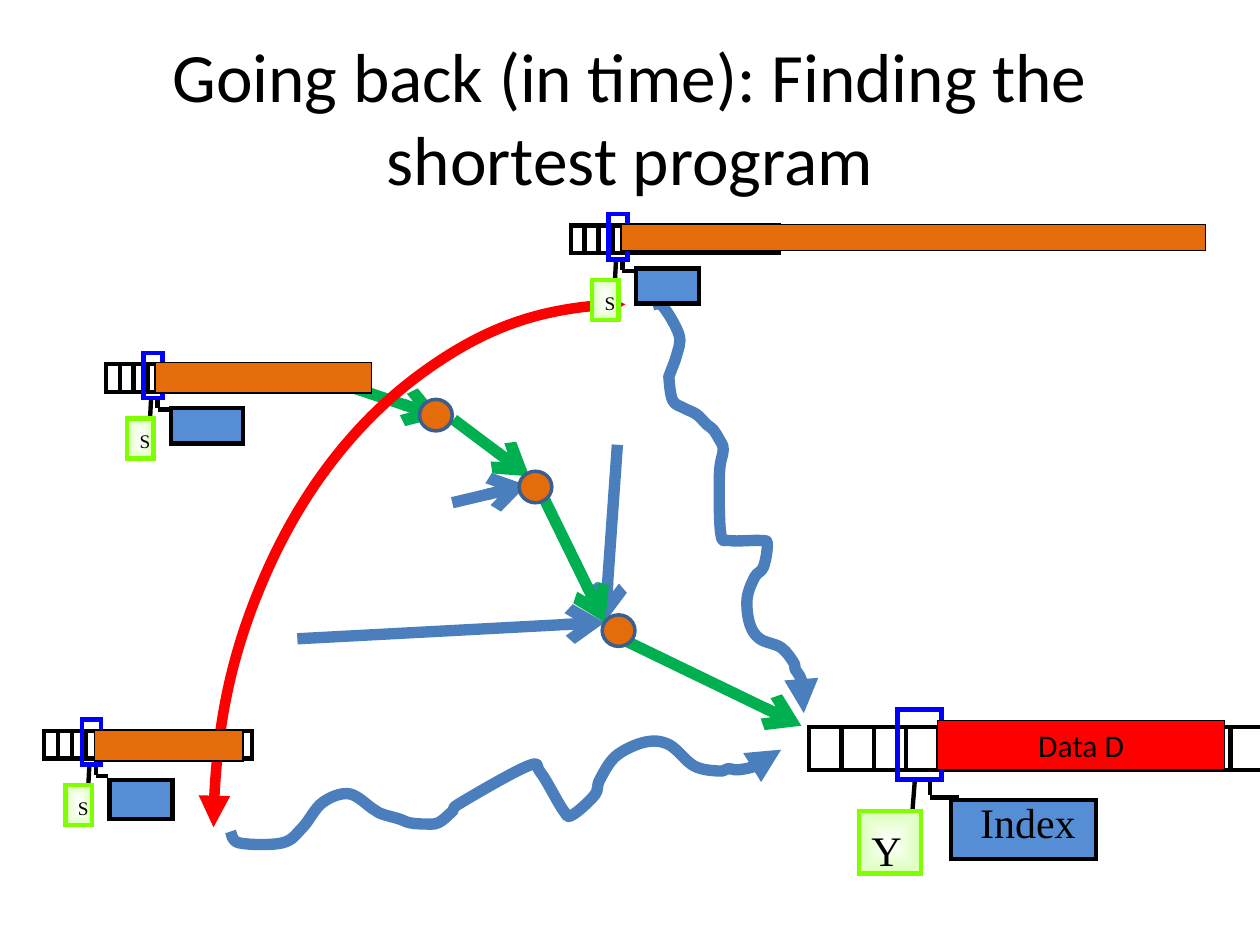
from lxml.etree import SubElement
from pptx import Presentation
from pptx.dml.color import RGBColor
from pptx.enum.shapes import MSO_CONNECTOR, MSO_SHAPE as SHAPE
from pptx.enum.text import MSO_ANCHOR as ANCHOR, PP_ALIGN as ALIGN
from pptx.oxml.ns import qn
from pptx.util import Inches, Pt

COLORS = {"black": "000000", "white": "FFFFFF", "green": "00B050", "steel": "4B7EBC",
          "rim": "3A5F8C", "orange": "E46C0A", "red": "FF0000", "index": "558ED5",
          "window": "0000FF", "lime": "7FFF00", "pale": "DBFFB8"}
SLIDE = (10, 7.5)
TITLE = "Going back (in time): Finding the shortest program"

ARROWS = [  # start, end, colour
    ((4.85, 5.03), (6.36, 5.76), "green"),
    ((2.36, 5.07), (4.8, 4.94), "steel"),
    ((3.6, 3.33), (4.2, 3.78), "green"),
    ((4.9, 3.53), (4.8, 4.94), "steel"),
    ((2.81, 3.08), (3.5, 3.31), "green"),
    ((3.59, 3.99), (4.18, 3.85), "steel"),
    ((4.31, 3.94), (4.8, 4.94), "green"),
]
NODES = [(4.12, 3.74), (3.33, 3.17), (4.78, 4.88)]
WAVES = [
    [(5.18, 2.42), (5.26, 2.43), (5.39, 2.66), (5.37, 2.82), (5.32, 2.96), (5.31, 3.01),
     (5.34, 3.18), (5.43, 3.24), (5.53, 3.29), (5.61, 3.37), (5.66, 3.41), (5.71, 3.49),
     (5.74, 3.57), (5.71, 3.76), (5.72, 4.23), (5.79, 4.29), (6.04, 4.29), (6.09, 4.32),
     (6.06, 4.5), (5.99, 4.58), (5.93, 4.75), (5.95, 4.95), (6.03, 5.07), (6.2, 5.14),
     (6.3, 5.26), (6.31, 5.31), (6.35, 5.37), (6.38, 5.47), (6.39, 5.61), (6.38, 5.66)],
    [(1.83, 6.6), (1.9, 6.69), (2.24, 6.69), (2.4, 6.57), (2.56, 6.37), (2.77, 6.3),
     (2.96, 6.42), (3.03, 6.46), (3.17, 6.5), (3.25, 6.53), (3.37, 6.54), (3.48, 6.53),
     (3.59, 6.44), (3.66, 6.37), (4.19, 6.08), (4.29, 6.13), (4.47, 6.43), (4.54, 6.47),
     (4.72, 6.31), (4.76, 6.19), (4.89, 6), (5.12, 5.89), (5.31, 5.91), (5.51, 6.08),
     (5.71, 6.12), (5.78, 6.1), (5.86, 6.11), (6, 6.08), (6.16, 6.01), (6.2, 5.95)],
]

CELLS = 15
TAPE = (1.65, 0.22)
# The parts of a machine, relative to the corner of a tape of this size
WIRES = [((0.36, 0.26), (0.35, 0.45)), ((0.41, 0.27), (0.41, 0.35)), ((0.41, 0.36), (0.51, 0.36))]
STATE, WINDOW, LETTER = (0.17, 0.43, 0.21, 0.32), (0.3, -0.09, 0.15, 0.36), (0.17, 0.47)
MACHINES = [
    dict(at=(6.42, 5.77), scale=(2.34, 1.55), letter="Y", letter_box=(0.44, 0.5), size=24,
         index=(7.55, 6.35, 1.15, 0.47), label="Index", label_box=(7.68, 6.27, 1.18, 0.5),
         data=(7.44, 5.72, 2.28, 0.39), data_color="red", data_text="Data D"),
    dict(at=(4.53, 1.79), index=(5.05, 2.13, 0.5, 0.28), data=(4.93, 1.78, 4.64, 0.21)),
    dict(at=(0.84, 2.89), index=(1.36, 3.24, 0.57, 0.28), data=(1.23, 2.88, 1.72, 0.24)),
    dict(at=(0.35, 5.8), index=(0.87, 6.19, 0.5, 0.31), data=(0.75, 5.8, 1.18, 0.24)),
]
SMALL = dict(scale=(1, 1), letter="S", letter_box=(0.29, 0.28), size=11, label="",
             data_color="orange", data_text="")


def rgb(name):
    return RGBColor.from_string(COLORS[name])


def stroke(s, color, width, head=None, tail=None):
    s.line.color.rgb = rgb(color)
    s.line.width = Pt(width)
    ln = s.line._get_or_add_ln()
    if not (head or tail):
        SubElement(ln, qn("a:miter")).set("lim", "800000")
    for tag, kind in (("a:headEnd", head), ("a:tailEnd", tail)):
        if kind:
            SubElement(ln, qn(tag)).set("type", kind)


def add_line(shapes, start, end, color="black", width=2.5, tail=None):
    s = shapes.add_connector(MSO_CONNECTOR.STRAIGHT, *map(Inches, start + end))
    stroke(s, color, width, tail=tail)
    SubElement(s._element.spPr, qn("a:effectLst"))


def add_shape(shapes, box, fill=None, kind=SHAPE.RECTANGLE):
    s = shapes.add_shape(kind, *map(Inches, box))
    s.shadow.inherit = False
    if fill:
        s.fill.solid()
        s.fill.fore_color.rgb = rgb(fill)
    else:
        s.fill.background()
    return s


def add_box(shapes, box, fill=None, line="black", width=2.5, kind=SHAPE.RECTANGLE):
    s = add_shape(shapes, box, fill, kind)
    stroke(s, line, width)
    return s


def write(s, text, size, font, align=ALIGN.LEFT, anchor=ANCHOR.TOP, wrap=True):
    tf = s.text_frame
    tf.word_wrap = wrap
    tf.vertical_anchor = anchor
    p = tf.paragraphs[0]
    p.alignment = align
    r = p.add_run()
    r.text = text
    r.font.size, r.font.name = Pt(size), font
    r.font.color.rgb = rgb("black")


def glow(s):
    """Fill with a gradient that spreads from the centre."""
    s.fill.gradient()
    for stop, color in zip(s.fill.gradient_stops, ("white", "pale")):
        stop.color.rgb = rgb(color)
    grad = s._element.spPr.find(qn("a:gradFill"))
    grad.remove(grad.find(qn("a:lin")))
    spread = SubElement(grad, qn("a:path"))
    spread.set("path", "shape")
    center = SubElement(spread, qn("a:fillToRect"))
    for side in "ltrb":
        center.set(side, "50000")


def bend(s):
    """Turn the straight segments of a freeform into a Catmull-Rom curve."""
    outline = next(s._element.iter(qn("a:path")))
    points = [(int(pt.get("x")), int(pt.get("y"))) for pt in outline.iter(qn("a:pt"))]
    for segment in outline.findall(qn("a:lnTo")):
        outline.remove(segment)
    ends = [points[0], *points, points[-1]]
    for a, b, c, d in zip(ends, ends[1:], ends[2:], ends[3:]):
        first = [q + (r - p) / 6 for p, q, r in zip(a, b, c)]
        second = [r - (u - q) / 6 for q, r, u in zip(b, c, d)]
        curve = SubElement(outline, qn("a:cubicBezTo"))
        for x, y in (first, second, c):
            pt = SubElement(curve, qn("a:pt"))
            pt.set("x", str(round(x)))
            pt.set("y", str(round(y)))


def add_wave(shapes, points):
    start, *rest = [(Inches(x), Inches(y)) for x, y in points]
    builder = shapes.build_freeform(*start)
    builder.add_line_segments(rest, close=False)
    s = builder.convert_to_shape()
    bend(s)
    s.shadow.inherit = False
    s.fill.background()
    stroke(s, "steel", 6.5, tail="triangle")


def add_machine(shapes, m):
    (x, y), (kx, ky) = m["at"], m["scale"]

    def place(dx, dy):
        return x + dx * kx, y + dy * ky

    def place_box(dx, dy, w, h):
        return (*place(dx, dy), w * kx, h * ky)

    add_box(shapes, place_box(0, 0, *TAPE))
    for i in range(1, CELLS):
        top = place(TAPE[0] * i / CELLS, 0)
        if top[0] < SLIDE[0]:
            add_line(shapes, top, (top[0], y + TAPE[1] * ky))
    for start, end in WIRES:
        add_line(shapes, place(*start), place(*end))
    glow(add_box(shapes, place_box(*STATE), line="lime"))
    add_box(shapes, m["index"], "index")
    s = shapes.add_textbox(*map(Inches, place(*LETTER) + m["letter_box"]))
    write(s, m["letter"], m["size"], "Times New Roman", wrap=False)
    if m["label"]:
        s = shapes.add_textbox(*map(Inches, m["label_box"]))
        write(s, m["label"], m["size"], "Times New Roman")
    add_box(shapes, place_box(*WINDOW), line="window")
    data = add_box(shapes, m["data"], m["data_color"], width=0.75)
    if m["data_text"]:
        write(data, m["data_text"], 18, "Calibri", ALIGN.CENTER, ANCHOR.MIDDLE, wrap=False)


def main():
    prs = Presentation()
    prs.slide_width, prs.slide_height = map(Inches, SLIDE)
    shapes = prs.slides.add_slide(prs.slide_layouts[6]).shapes

    title = shapes.add_textbox(*map(Inches, (0.5, 0.3, 9, 1.25)))
    write(title, TITLE, 39.6, "Calibri", ALIGN.CENTER, ANCHOR.MIDDLE)

    for start, end, color in ARROWS:
        add_line(shapes, start, end, color, 6.5, "arrow")
    for node in NODES:
        add_box(shapes, node + (0.26, 0.25), "orange", "rim", 2, SHAPE.OVAL)

    arc = add_shape(shapes, (0.79, 3.32, 8.35, 6.54), kind=SHAPE.ARC)
    arc.rotation = 270
    arc.adjustments[0], arc.adjustments[1] = 162.26, 0
    stroke(arc, "red", 6, "triangle", "triangle")

    for points in WAVES:
        add_wave(shapes, points)
    for machine in MACHINES:
        add_machine(shapes.add_group_shape().shapes, {**SMALL, **machine})
    prs.save("out.pptx")


if __name__ == "__main__":
    main()
